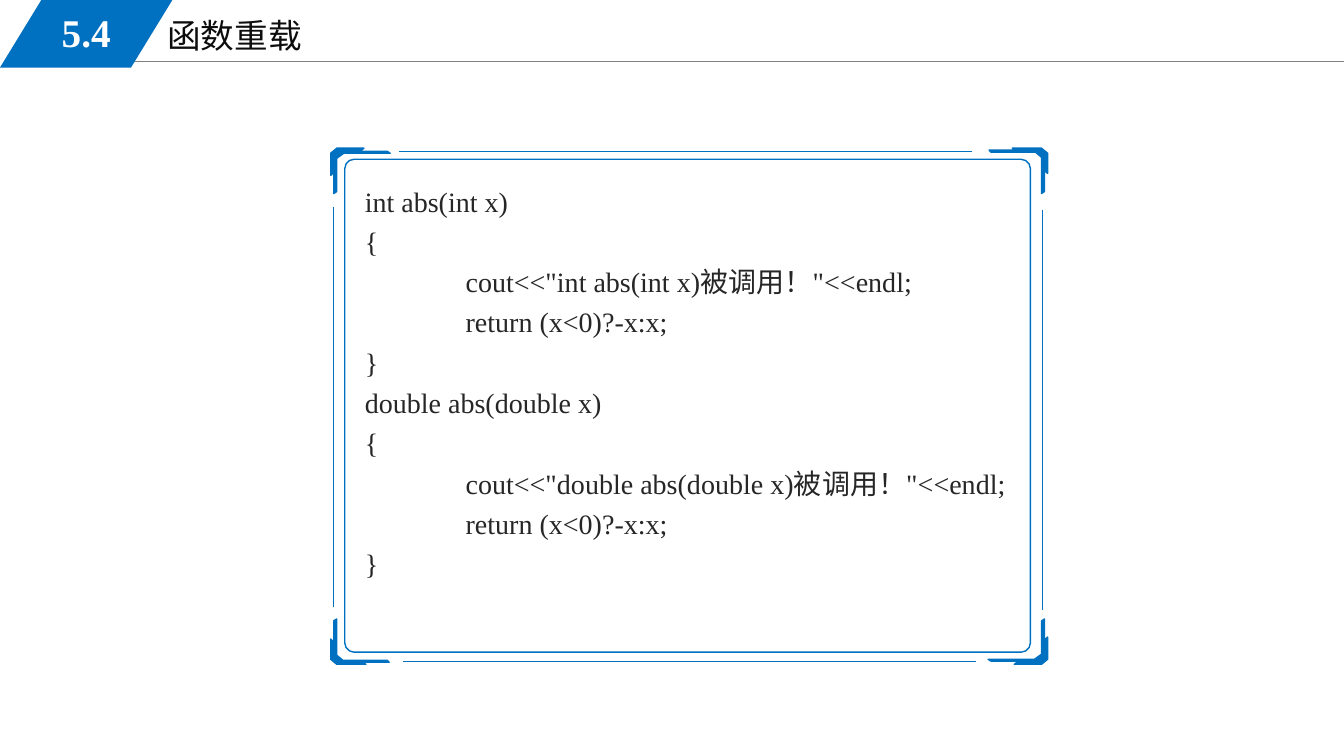
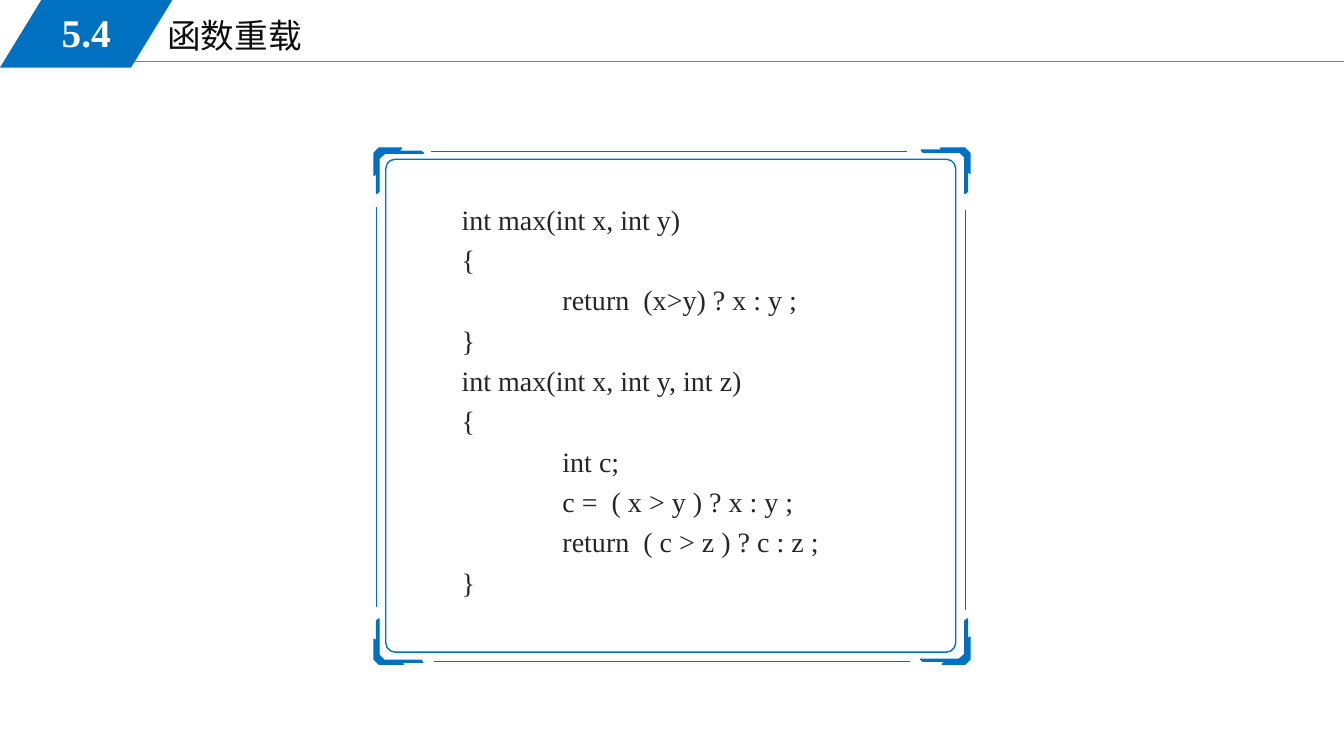
import pptx
from lxml import etree
from pptx.dml.color import RGBColor
from pptx.enum.shapes import MSO_CONNECTOR, MSO_SHAPE
from pptx.enum.text import MSO_ANCHOR, PP_ALIGN
from pptx.oxml.ns import qn
from pptx.util import Inches, Pt

SECTION, TITLE = "5.4", "函数重载"
FONT = "Times New Roman"
COLORS = {"blue": "0070C0", "rule": "808080", "title": "0D0D0D",
          "code": "262626", "white": "FFFFFF"}

SLIDES = [
    {"frame": (3.28, 10.39), "code_box": (3.52, 1.71, 6.80, 4.65), "code": [
        "int abs(int x)",
        "{",
        '\tcout<<"int abs(int x)被调用！"<<endl;',
        "\treturn (x<0)?-x:x;",
        "}",
        "double abs(double x)",
        "{",
        '\tcout<<"double abs(double x)被调用！"<<endl;',
        "\treturn (x<0)?-x:x;",
        "}",
    ]},
    {"frame": (3.71, 9.62), "code_box": (4.48, 1.89, 4.38, 4.26), "code": [
        "int max(int x, int y)",
        "{",
        "\treturn  (x>y) ? x : y ;",
        "}",
        "int max(int x, int y, int z)",
        "{",
        "\tint c;",
        "\tc =  ( x > y ) ? x : y ;",
        "\treturn  ( c > z ) ? c : z ;",
        "}",
    ]},
]

# Frame geometry: insets from the outer corner, for a frame of FULL_WIDTH
FRAME_TOP, FRAME_BOTTOM, FULL_WIDTH = 1.47, 6.59, 7.11
CORNER = [(0.06, 0), (0.33, 0), (0.29, 0.03), (0.56, 0.03), (0.59, 0.05),
          (0.13, 0.05), (0.06, 0.10), (0.06, 0.43), (0.03, 0.45),
          (0.03, 0.24), (0, 0.27), (0, 0.05)]
CORNER_ALT = [(0.06, 0), (0.35, 0), (0.31, 0.02), (0.58, 0.02), (0.56, 0.04),
              (0.12, 0.04), (0.06, 0.09), (0.06, 0.45), (0.03, 0.43),
              (0.03, 0.22), (0, 0.25), (0, 0.05)]


def rgb(name):
    return RGBColor.from_string(COLORS[name])


def style_shape(shape, fill=None, line=None):
    shape.shadow.inherit = False
    if fill:
        shape.fill.solid()
        shape.fill.fore_color.rgb = rgb(fill)
    else:
        shape.fill.background()
    if line:
        shape.line.color.rgb = rgb(line)
        shape.line.width = Pt(1)
    else:
        shape.line.fill.background()


def style_text(paragraph, size, color, bold=False):
    paragraph.font.name = FONT
    paragraph.font.size = Pt(size)
    paragraph.font.bold = bold
    paragraph.font.color.rgb = rgb(color)


def add_tab_stop(paragraph, position):
    tabs = etree.SubElement(paragraph._p.get_or_add_pPr(), qn("a:tabLst"))
    etree.SubElement(tabs, qn("a:tab"), pos=str(Inches(position)), algn="l")


def add_line(shapes, start, end, color, width):
    line = shapes.add_connector(MSO_CONNECTOR.STRAIGHT, *map(Inches, start + end))
    line.line.color.rgb = rgb(color)
    line.line.width = Pt(width)
    etree.SubElement(line.element.spPr, qn("a:effectLst"))
    return line


def place(shape, left, top, width, height):
    shape.left, shape.top = Inches(left), Inches(top)
    shape.width, shape.height = Inches(width), Inches(height)


def build_header(layout, slide):
    """Draw the header on the slide, then move it into the shared layout."""
    rule = add_line(slide.shapes, (1.13, 0.61), (13.33, 0.61), "rule", 0.75)
    band = slide.shapes.add_shape(MSO_SHAPE.PARALLELOGRAM,
                                  *map(Inches, (0, 0, 1.71, 0.67)))
    band.adjustments[0] = 0.612
    style_shape(band, fill="blue")
    number = slide.shapes.add_textbox(*map(Inches, (0.25, 0.03, 1.21, 0.58)))
    number.text_frame.word_wrap = True
    number.text_frame.vertical_anchor = MSO_ANCHOR.MIDDLE
    para = number.text_frame.paragraphs[0]
    para.text = SECTION
    para.alignment = PP_ALIGN.CENTER
    style_text(para, 28, "white", bold=True)
    for shape in (rule, band, number):
        layout.shapes.element.append(shape.element)
    place(layout.placeholders[0], 1.56, 0.10, 5.67, 0.51)


def fill_title(slide):
    frame = slide.shapes.title.text_frame
    frame.text = TITLE
    frame.vertical_anchor = MSO_ANCHOR.TOP
    frame.paragraphs[0].alignment = PP_ALIGN.LEFT
    style_text(frame.paragraphs[0], 24, "title")


def add_code(slide, bounds, lines):
    box = slide.shapes.add_textbox(*map(Inches, bounds))
    frame = box.text_frame
    frame.word_wrap = True
    for index, line in enumerate(lines):
        para = frame.paragraphs[0] if index == 0 else frame.add_paragraph()
        para.text = line
        add_tab_stop(para, 1)
        para.line_spacing = 1.2
        style_text(para, 20, "code")


def add_frame(slide, left, right):
    shapes = slide.shapes.add_group_shape().shapes
    top, bottom = FRAME_TOP, FRAME_BOTTOM
    scale = (right - left) / FULL_WIDTH

    panel_left, panel_right = left + 0.14 * scale, right - 0.17 * scale
    panel = shapes.add_shape(
        MSO_SHAPE.ROUNDED_RECTANGLE, Inches(panel_left), Inches(top + 0.11),
        Inches(panel_right - panel_left), Inches(bottom - top - 0.23))
    panel.adjustments[0] = 0.019
    style_shape(panel, line="blue")

    for x, y, across, down, outline in (
            (left, top, 1, 1, CORNER), (right, bottom, -1, -1, CORNER),
            (right, top, -1, 1, CORNER_ALT), (left, bottom, 1, -1, CORNER_ALT)):
        points = [(Inches(x + across * scale * dx), Inches(y + down * dy))
                  for dx, dy in outline]
        builder = shapes.build_freeform(*points[0])
        builder.add_line_segments(points[1:], close=True)
        style_shape(builder.convert_to_shape(), fill="blue", line="blue")

    for y, start, end in ((top + 0.03, 0.68, 0.75), (bottom - 0.03, 0.72, 0.71)):
        add_line(shapes, (left + start * scale, y), (right - end * scale, y),
                 "blue", 1)
    for x, start, end in ((left + 0.03 * scale, 0.58, 0.57),
                          (right - 0.05 * scale, 0.61, 0.54)):
        add_line(shapes, (x, top + start), (x, bottom - end), "blue", 1)


def main():
    deck = pptx.Presentation()
    deck.slide_width, deck.slide_height = Inches(13.33), Inches(7.5)
    layout = deck.slide_layouts.get_by_name("Title Only")
    for index, content in enumerate(SLIDES):
        slide = deck.slides.add_slide(layout)
        if index == 0:
            build_header(layout, slide)
        fill_title(slide)
        add_code(slide, content["code_box"], content["code"])
        add_frame(slide, *content["frame"])
    deck.save("out.pptx")


if __name__ == "__main__":
    main()
